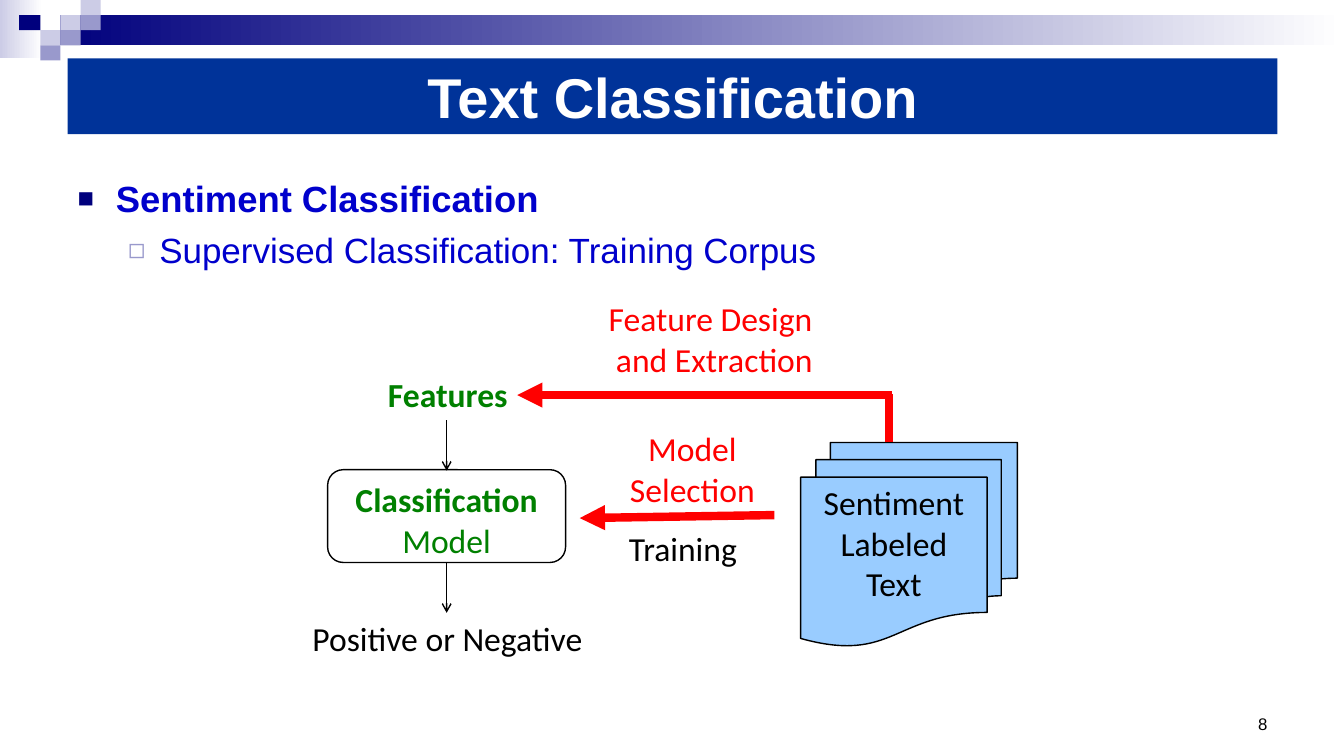
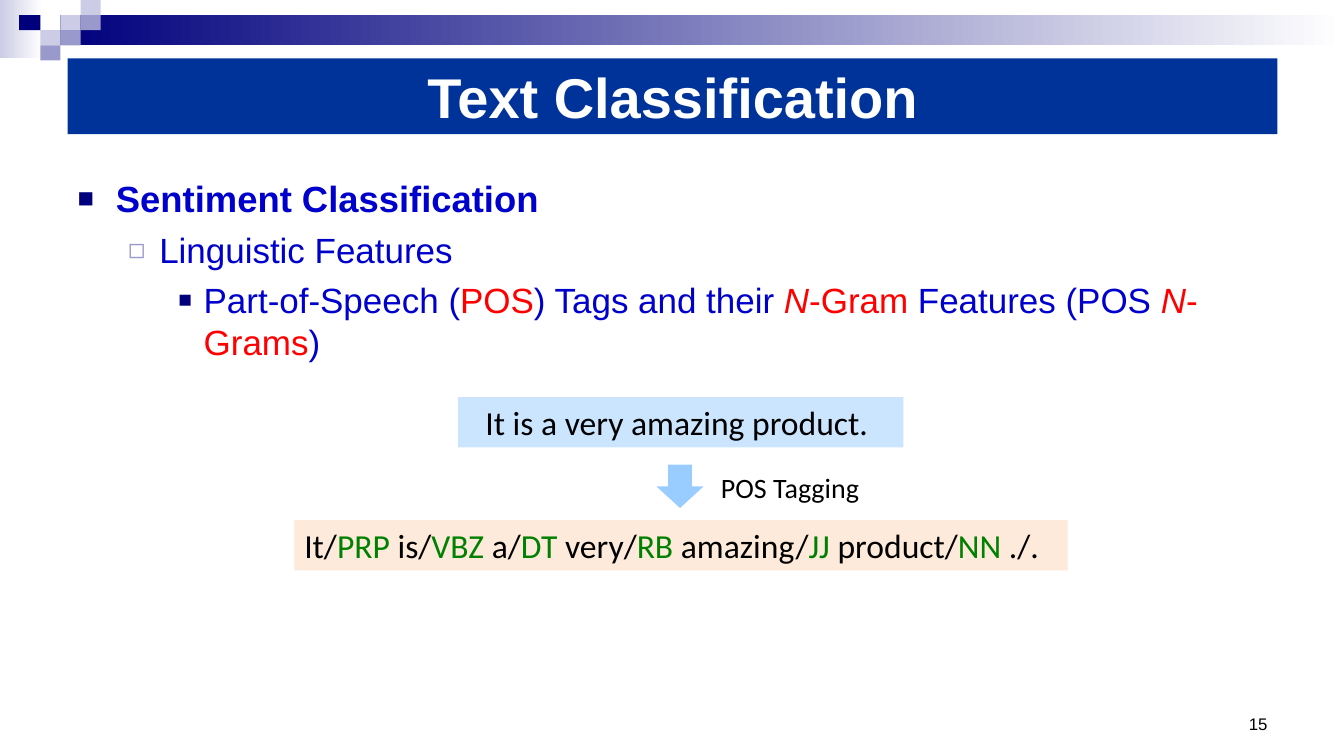
from dataclasses import dataclass

from lxml.etree import SubElement
from pptx import Presentation
from pptx.dml.color import RGBColor
from pptx.enum.shapes import MSO_CONNECTOR, MSO_SHAPE
from pptx.enum.text import MSO_ANCHOR, MSO_AUTO_SIZE, PP_ALIGN
from pptx.oxml.ns import qn
from pptx.util import Inches, Pt


@dataclass(frozen=True)
class Theme:
    heading_font: str = "Arial"
    diagram_font: str = "Calibri"
    navy: str = "00007D"
    lavender: str = "CCCCE6"
    violet: str = "9999CC"
    title_band: str = "003399"
    list_blue: str = "0000CC"
    sky: str = "99CCFF"
    peach: str = "FDEADA"
    red: str = "FF0000"
    green: str = "008000"
    black: str = "000000"
    white: str = "FFFFFF"
    title_size: int = 40
    topic_size: int = 26
    point_size: int = 25
    diagram_size: int = 24
    note_size: int = 20
    number_size: int = 12


T = Theme()
LEFT, CENTER, RIGHT = PP_ALIGN.LEFT, PP_ALIGN.CENTER, PP_ALIGN.RIGHT

TITLE = "Text Classification"
TOPIC = "Sentiment Classification"
RED = {"color": T.red}
RED_ITALIC = {"color": T.red, "italic": True}
TRAINING_POINTS = [TOPIC, "Supervised Classification: Training Corpus"]
FEATURE_POINTS = [
    TOPIC,
    "Linguistic Features",
    ["Part-of-Speech (", ("POS", RED), ") Tags and their ", ("N", RED_ITALIC),
     ("-Gram", RED), " Features (POS ", ("N", RED_ITALIC), ("-Grams", RED), ")"],
]
SENTENCE = "It is a very amazing product. "
TAGGED_WORDS = [("It", "PRP"), ("is", "VBZ"), ("a", "DT"), ("very", "RB"),
                ("amazing", "JJ"), ("product", "NN")]
TAGGED_END = "./."

# One entry per list level: bullet, its colour and size in percent, margin, hanging indent
LEVELS = [
    ("■", T.navy, 75, 0.38, 0.38),
    ("◻", T.violet, 80, 0.81, 0.31),
    ("■", T.navy, 65, 1.25, 0.25),
]
# Left, top, width, height, colour, and whether the colour fades to white
CORNER_TILES = [
    (0, 0, 0.42, 0.58, T.lavender, True),
    (0.6, 0.15, 12.73, 0.3, T.navy, True),
    (0.6, 0.15, 0.2, 0.15, T.lavender, False),
    (0.8, 0, 0.2, 0.15, T.lavender, False),
    (0.8, 0.15, 0.2, 0.15, T.violet, False),
    (0.4, 0.3, 0.2, 0.15, T.lavender, False),
    (0.19, 0.15, 0.21, 0.15, T.navy, False),
    (0.6, 0.3, 0.2, 0.15, T.violet, False),
    (0.4, 0.45, 0.2, 0.15, T.violet, False),
]


def rgb(color):
    return RGBColor.from_string(color)


def write(frame, paragraphs, font=T.diagram_font, size=T.diagram_size, color=T.black,
          bold=False, align=LEFT, wrap=True, anchor=MSO_ANCHOR.TOP, before=0):
    """Fill a frame; a paragraph is a string or a list of runs, a run a string or (text, changes)."""
    frame.auto_size = MSO_AUTO_SIZE.NONE
    frame.word_wrap = wrap
    frame.vertical_anchor = anchor
    for index, runs in enumerate(paragraphs):
        paragraph = frame.add_paragraph() if index else frame.paragraphs[0]
        paragraph.alignment = align
        paragraph.space_before = Pt(before)
        for part in [runs] if isinstance(runs, str) else runs:
            text, changes = (part, {}) if isinstance(part, str) else part
            run = paragraph.add_run()
            run.text = text
            run.font.name = font
            run.font.size = Pt(changes.get("size", size))
            run.font.bold = changes.get("bold", bold)
            run.font.italic = changes.get("italic", False)
            run.font.color.rgb = rgb(changes.get("color", color))
    return frame


def place(shape, left, top, width, height):
    shape.left, shape.top = Inches(left), Inches(top)
    shape.width, shape.height = Inches(width), Inches(height)


def add_label(slide, box, paragraphs, **text_format):
    label = slide.shapes.add_textbox(*map(Inches, box))
    return write(label.text_frame, paragraphs, **text_format)


def add_block(slide, kind, box, fill=None, outline=None, alpha=None, fade=False):
    block = slide.shapes.add_shape(kind, *map(Inches, box))
    block.shadow.inherit = False
    if fade:
        block.fill.gradient()
        block.fill.gradient_angle = 0
        for stop, color in zip(block.fill.gradient_stops, (fill, T.white)):
            stop.color.rgb = rgb(color)
    elif fill:
        block.fill.solid()
        block.fill.fore_color.rgb = rgb(fill)
    else:
        block.fill.background()
    if alpha:
        color_node = block.element.spPr.find(qn("a:solidFill"))[0]
        SubElement(color_node, qn("a:alpha"), val=str(alpha * 1000))
    if outline:
        block.line.color.rgb = rgb(outline)
        block.line.width = Pt(1)
    else:
        block.line.fill.background()
    return block


def add_line(slide, start, end, color=T.black, width=1, arrowhead=None):
    line = slide.shapes.add_connector(MSO_CONNECTOR.STRAIGHT, *map(Inches, start + end))
    line.line.color.rgb = rgb(color)
    line.line.width = Pt(width)
    if arrowhead:
        SubElement(line.line._get_or_add_ln(), qn("a:tailEnd"), type=arrowhead)
    SubElement(line.element.spPr, qn("a:effectLst"))


def set_bullet(paragraph, level):
    bullet, color, percent, margin, hanging = LEVELS[level]
    paragraph.level = level
    properties = paragraph._p.get_or_add_pPr()
    properties.set("marL", str(Inches(margin)))
    properties.set("indent", str(-Inches(hanging)))
    SubElement(SubElement(properties, qn("a:buClr")), qn("a:srgbClr"), val=color)
    SubElement(properties, qn("a:buSzPct"), val=str(percent * 1000))
    SubElement(properties, qn("a:buFont"), typeface=T.heading_font)
    SubElement(properties, qn("a:buChar"), char=bullet)


def decorate_master(slide, master):
    """Draw the corner tiles and move them behind everything on the master."""
    tree = master.shapes._spTree
    for position, (*box, color, fade) in enumerate(CORNER_TILES):
        tile = add_block(slide, MSO_SHAPE.RECTANGLE, box, color, fade=fade)
        tree.insert(2 + position, tile.element)


def add_content_slide(deck, points, number):
    slide = deck.slides.add_slide(deck.slide_layouts[1])
    title, body = slide.placeholders
    place(title, 0.67, 0.58, 12, 0.75)
    title.fill.solid()
    title.fill.fore_color.rgb = rgb(T.title_band)
    write(title.text_frame, [TITLE], font=T.heading_font, size=T.title_size,
          color=T.white, bold=True, align=CENTER, anchor=MSO_ANCHOR.MIDDLE)

    place(body, 0.67, 1.7, 12, 5.33)
    topic, *details = points
    topic_run = (topic, {"size": T.topic_size, "bold": True})
    frame = write(body.text_frame, [[topic_run], *details], font=T.heading_font,
                  size=T.point_size, color=T.list_blue, before=6)
    for level, paragraph in enumerate(frame.paragraphs):
        set_bullet(paragraph, level)

    add_label(slide, (11.11, 6.83, 1.56, 0.5), [str(number)], font=T.heading_font,
              size=T.number_size, align=RIGHT, anchor=MSO_ANCHOR.BOTTOM)
    return slide


def draw_training_flow(slide):
    documents = add_block(slide, MSO_SHAPE.FLOWCHART_MULTIDOCUMENT,
                          (7.94, 4.39, 2.15, 2.02), T.sky, T.black)
    write(documents.text_frame, ["Sentiment", "Labeled", "Text"], align=CENTER, wrap=False)

    model = add_block(slide, MSO_SHAPE.ROUNDED_RECTANGLE, (3.25, 4.66, 2.36, 0.92),
                      outline=T.black)
    write(model.text_frame, [[("Classification", {"bold": True})], "Model"],
          color=T.green, align=CENTER, wrap=False)

    add_label(slide, (3.75, 3.66, 1.4, 0.5), ["Features"], color=T.green, bold=True, wrap=False)
    add_label(slide, (3, 6.08, 2.91, 0.5), ["Positive or Negative"], wrap=False)
    for top in (4.17, 5.58):
        add_line(slide, (4.43, top), (4.43, top + 0.5), arrowhead="arrow")

    selection = add_label(slide, (6.14, 4.2, 1.53, 1.5),
                          ["Model ", "Selection ", [("Training", {"color": T.black})]],
                          color=T.red, align=CENTER, wrap=False)
    training = selection.paragraphs[-1]
    training.alignment = LEFT
    training.space_before = Pt(13.4)
    add_label(slide, (5.92, 2.91, 2.33, 0.91), ["Feature Design ", "and Extraction"],
              color=T.red, align=CENTER)
    for start, end, arrowhead in [
        ((7.68, 5.11), (5.75, 5.14), "triangle"),
        ((8.85, 3.92), (5.13, 3.92), "triangle"),
        ((8.82, 4.39), (8.82, 3.91), None),
    ]:
        add_line(slide, start, end, T.red, 6, arrowhead)


def draw_tagging_example(slide):
    sentence = add_block(slide, MSO_SHAPE.RECTANGLE, (4.54, 3.94, 4.42, 0.5), T.sky, alpha=50)
    write(sentence.text_frame, [SENTENCE], align=CENTER, before=3)

    add_block(slide, MSO_SHAPE.DOWN_ARROW, (6.51, 4.61, 0.47, 0.43), T.sky)
    add_label(slide, (6.94, 4.62, 1.79, 0.44), ["POS Tagging"], size=T.note_size, align=CENTER)

    tagged = add_block(slide, MSO_SHAPE.RECTANGLE, (2.92, 5.16, 7.67, 0.5), T.peach)
    runs = []
    for word, tag in TAGGED_WORDS:
        runs += [f"{word}/", (tag, {"color": T.green}), " "]
    write(tagged.text_frame, [runs + [TAGGED_END]])


def main():
    deck = Presentation()
    deck.slide_width, deck.slide_height = Inches(13.33), Inches(7.5)
    training_slide = add_content_slide(deck, TRAINING_POINTS, 8)
    decorate_master(training_slide, deck.slide_master)
    draw_training_flow(training_slide)
    draw_tagging_example(add_content_slide(deck, FEATURE_POINTS, 15))
    deck.save("out.pptx")


if __name__ == "__main__":
    main()
